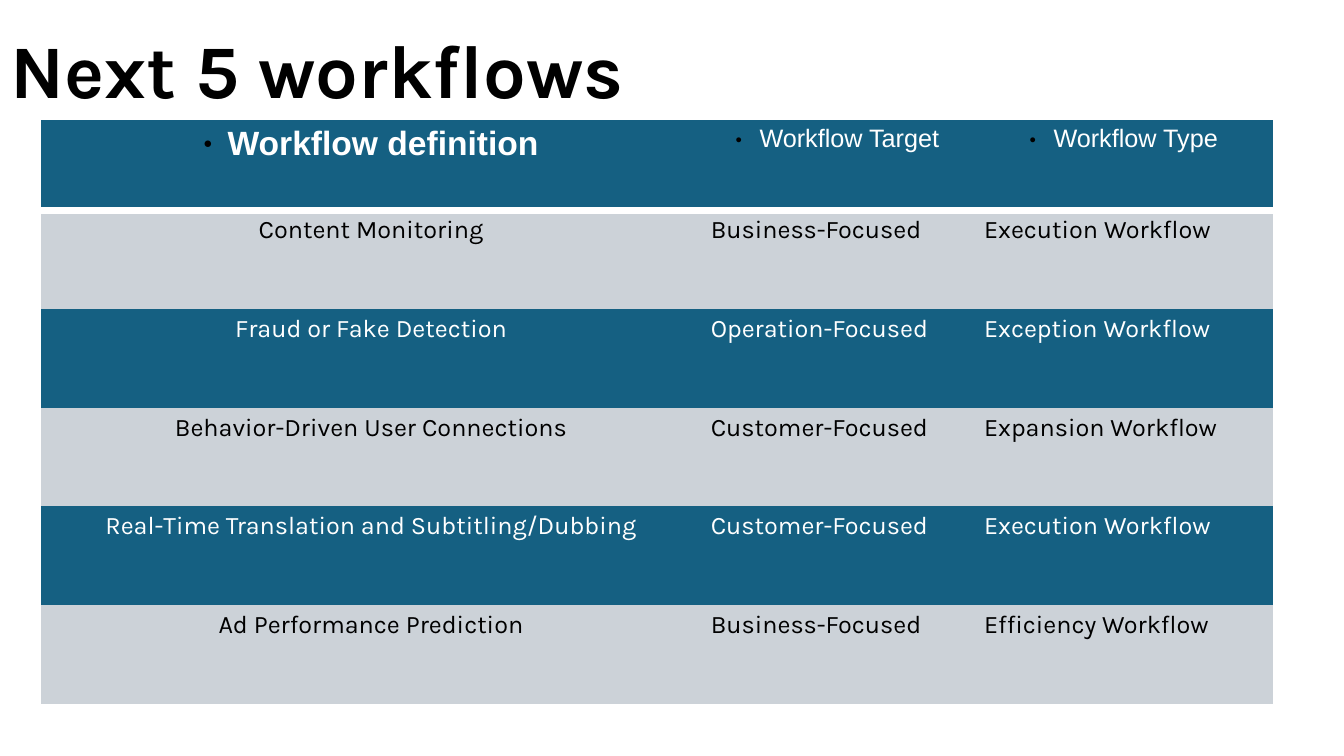
from dataclasses import dataclass

from lxml.etree import SubElement
from pptx import Presentation
from pptx.dml.color import RGBColor
from pptx.enum.text import MSO_ANCHOR, MSO_AUTO_SIZE, PP_ALIGN
from pptx.oxml import parse_xml
from pptx.oxml.ns import nsdecls, qn
from pptx.util import Inches, Pt


@dataclass(frozen=True)
class Theme:
    """Colours, fonts and type sizes of the slide."""
    blue: str = "156082"
    grey: str = "CCD2D8"
    white: str = "FFFFFF"
    black: str = "000000"
    head_font: str = "Arial"
    body_font: str = "Karla"
    title_size: int = 54
    lead_size: int = 24
    body_size: int = 18
    rule_width: int = 6


T = Theme()
NO_STYLE = "{2D5ABB26-0587-4C30-8999-92F81FD0307C}"
HEADINGS = ("Workflow definition", "Workflow Target", "Workflow Type")
WORKFLOWS = (
    ("Content Monitoring", "Business-Focused", "Execution Workflow"),
    ("Fraud or Fake Detection", "Operation-Focused", "Exception Workflow"),
    ("Behavior-Driven User Connections", "Customer-Focused", "Expansion Workflow"),
    ("Real-Time Translation and Subtitling/Dubbing", "Customer-Focused", "Execution Workflow"),
    ("Ad Performance Prediction", "Business-Focused", "Efficiency Workflow"),
)


def write(tf, text, size=T.body_size, font=T.body_font, color=T.black, bold=False, align=PP_ALIGN.LEFT):
    """Write one formatted paragraph and return it."""
    p = tf.paragraphs[0]
    p.alignment = align
    r = p.add_run()
    r.text = text
    r.font.size, r.font.name, r.font.bold = Pt(size), font, bold
    r.font.color.rgb = RGBColor.from_string(color)
    return p


def add_bullet(p):
    """Give a paragraph a small black bullet on a hanging indent."""
    pPr = p._p.get_or_add_pPr()
    pPr.set("marL", str(Inches(0.24)))
    pPr.set("indent", str(-Inches(0.24)))
    SubElement(SubElement(pPr, qn("a:buClr")), qn("a:srgbClr"), val=T.black)
    SubElement(pPr, qn("a:buSzPct"), val="45000")
    SubElement(pPr, qn("a:buFont"), typeface=T.head_font)
    SubElement(pPr, qn("a:buChar"), char="●")


def fill_cell(cell, color):
    """Fill a table cell with a solid colour."""
    cell.fill.solid()
    cell.fill.fore_color.rgb = RGBColor.from_string(color)


def rule_below(cell):
    """Draw the white rule under a heading cell."""
    cell._tc.get_or_add_tcPr().insert(0, parse_xml(
        f'<a:lnB {nsdecls("a")} w="{Pt(T.rule_width)}"><a:solidFill>'
        f'<a:srgbClr val="{T.white}"/></a:solidFill></a:lnB>'))


def add_title(s, text, left, top, width, height):
    """Place the slide title in its unfilled outline."""
    x, y, right, bottom = (Inches(v) for v in (left, top, left + width, top + height))
    outline = s.shapes.build_freeform(x, y)
    outline.add_line_segments(((right, y), (right, bottom), (x, bottom)))
    sp = outline.convert_to_shape()
    sp.shadow.inherit = False
    sp.fill.background()
    sp.line.fill.background()
    tf = sp.text_frame
    tf.word_wrap = False
    tf.auto_size = MSO_AUTO_SIZE.SHAPE_TO_FIT_TEXT
    tf.vertical_anchor = MSO_ANCHOR.TOP
    write(tf, text, size=T.title_size, bold=True, align=PP_ALIGN.CENTER)


def add_workflow_table(s, left, top, width, height):
    """Place the workflow table with its heading and banded rows."""
    frame = s.shapes.add_table(len(WORKFLOWS) + 1, len(HEADINGS),
                               Inches(left), Inches(top), Inches(width), Inches(height))
    table = frame.table
    table._tbl.tblPr.find(qn("a:tableStyleId")).text = NO_STYLE
    first, second = 6.54, 2.71
    for column, size in zip(table.columns, (first, second, width - first - second)):
        column.width = Inches(size)
    head = 0.9
    table.rows[0].height = Inches(head)
    for c, text in enumerate(HEADINGS):
        cell, lead = table.cell(0, c), c == 0
        fill_cell(cell, T.blue)
        rule_below(cell)
        add_bullet(write(cell.text_frame, text, size=T.lead_size if lead else T.body_size,
                         font=T.head_font, color=T.white, bold=lead, align=PP_ALIGN.CENTER))
    for i, workflow in enumerate(WORKFLOWS, 1):
        table.rows[i].height = Inches((height - head) / len(WORKFLOWS))
        back, ink = (T.grey, T.black) if i % 2 else (T.blue, T.white)
        for c, text in enumerate(workflow):
            cell = table.cell(i, c)
            fill_cell(cell, back)
            write(cell.text_frame, text, color=ink, align=PP_ALIGN.LEFT if c else PP_ALIGN.CENTER)


def main():
    """Build and save the slide."""
    prs = Presentation()
    prs.slide_width, prs.slide_height = Inches(13.33), Inches(7.5)
    s = prs.slides.add_slide(prs.slide_layouts[6])
    add_title(s, "Next 5 workflows", -0.21, 0.18, 6.71, 1)
    add_workflow_table(s, 0.41, 1.19, 12.22, 5.79)
    prs.save("out.pptx")


main()
